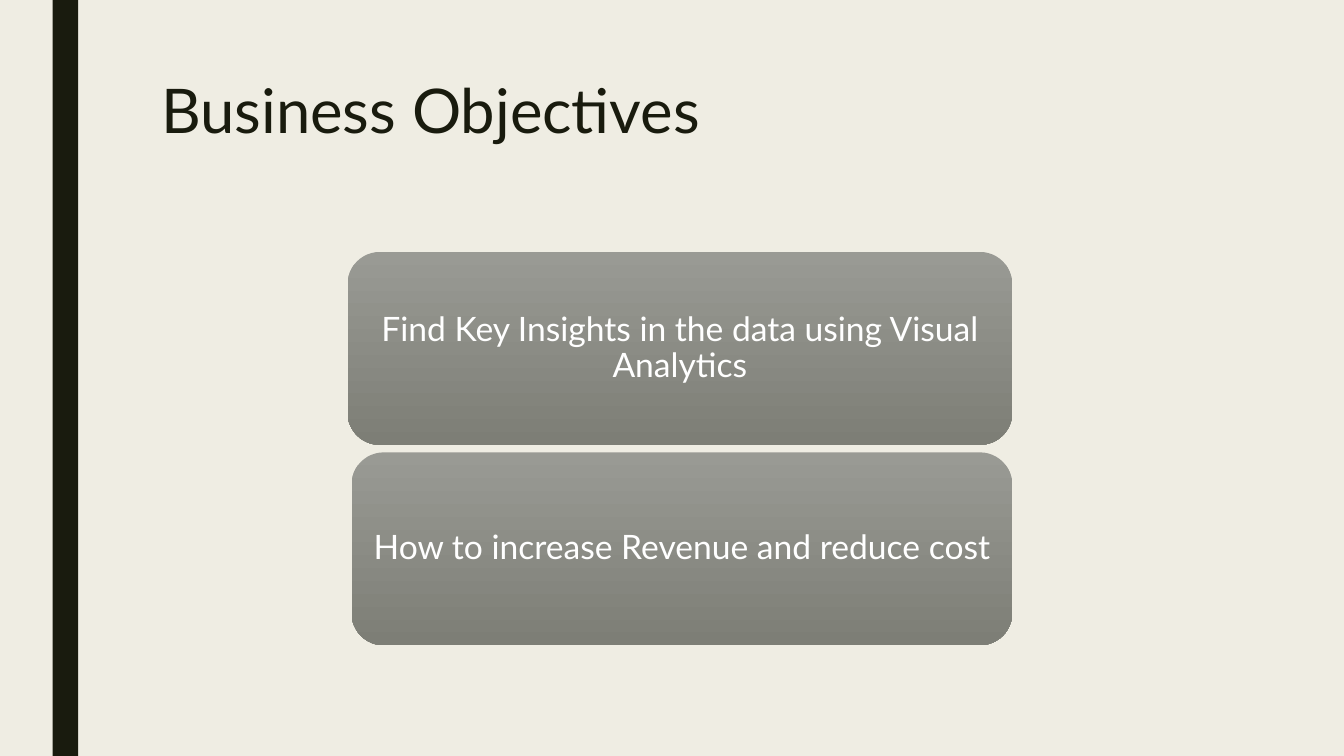
from dataclasses import dataclass

from pptx import Presentation
from pptx.dml.color import RGBColor
from pptx.enum.shapes import MSO_SHAPE
from pptx.enum.text import MSO_ANCHOR, PP_ALIGN
from pptx.util import Cm, Pt

HEADING = "Business Objectives"
# Wording and left edge in cm; all cards share one right edge
OBJECTIVES = [
    ("Find Key Insights in the data using Visual Analytics", 8.76),
    ("How to increase Revenue and reduce cost", 8.86),
]


@dataclass(frozen=True)
class Theme:
    font: str = "Lato"
    heading_size: int = 44
    card_size: int = 24
    background: str = "EFEDE3"
    dark: str = "191B0E"
    card_top: str = "999A94"
    card_bottom: str = "7D7E76"
    card_text: str = "FFFFFF"


THEME = Theme()
CARDS_RIGHT, CARDS_TOP = 25.51, 6.35
CARD_HEIGHT, CARD_GAP, CARD_INSET = 4.86, 0.19, 0.2


def color(value):
    return RGBColor.from_string(value)


def write(shape, text, size, text_color, line_spacing, align, anchor):
    frame = shape.text_frame
    frame.word_wrap = True
    frame.vertical_anchor = anchor
    paragraph = frame.paragraphs[0]
    paragraph.text = text
    paragraph.alignment = align
    paragraph.line_spacing = line_spacing
    paragraph.font.name = THEME.font
    paragraph.font.size = Pt(size)
    paragraph.font.color.rgb = color(text_color)
    return frame


def add_plain_shape(slide, kind, left, top, width, height):
    """Add a preset shape without outline or shadow."""
    shape = slide.shapes.add_shape(kind, left, top, width, height)
    shape.shadow.inherit = False
    shape.line.fill.background()
    return shape


def add_card(slide, row, text, left):
    top = CARDS_TOP + row * (CARD_HEIGHT + CARD_GAP)
    card = add_plain_shape(slide, MSO_SHAPE.ROUNDED_RECTANGLE, Cm(left), Cm(top),
                           Cm(CARDS_RIGHT - left), Cm(CARD_HEIGHT))
    card.fill.gradient()
    card.fill.gradient_angle = 270
    for stop, shade in zip(card.fill.gradient_stops, (THEME.card_top, THEME.card_bottom)):
        stop.color.rgb = color(shade)
    frame = write(card, text, THEME.card_size, THEME.card_text, 0.9,
                  PP_ALIGN.CENTER, MSO_ANCHOR.MIDDLE)
    frame.margin_left = frame.margin_right = Cm(CARD_INSET)


def main():
    deck = Presentation()
    deck.slide_width, deck.slide_height = Cm(33.87), Cm(19.05)
    slide = deck.slides.add_slide(deck.slide_layouts[6])
    slide.background.fill.solid()
    slide.background.fill.fore_color.rgb = color(THEME.background)

    side_bar = add_plain_shape(slide, MSO_SHAPE.RECTANGLE, Cm(1.33), 0,
                               Cm(0.64), deck.slide_height)
    side_bar.fill.solid()
    side_bar.fill.fore_color.rgb = color(THEME.dark)

    heading = slide.shapes.add_textbox(Cm(3.81), Cm(1.92), Cm(26.67), Cm(4.12))
    write(heading, HEADING, THEME.heading_size, THEME.dark, 0.89,
          PP_ALIGN.LEFT, MSO_ANCHOR.TOP)

    for row, (text, left) in enumerate(OBJECTIVES):
        add_card(slide, row, text, left)

    deck.save("out.pptx")


if __name__ == "__main__":
    main()
